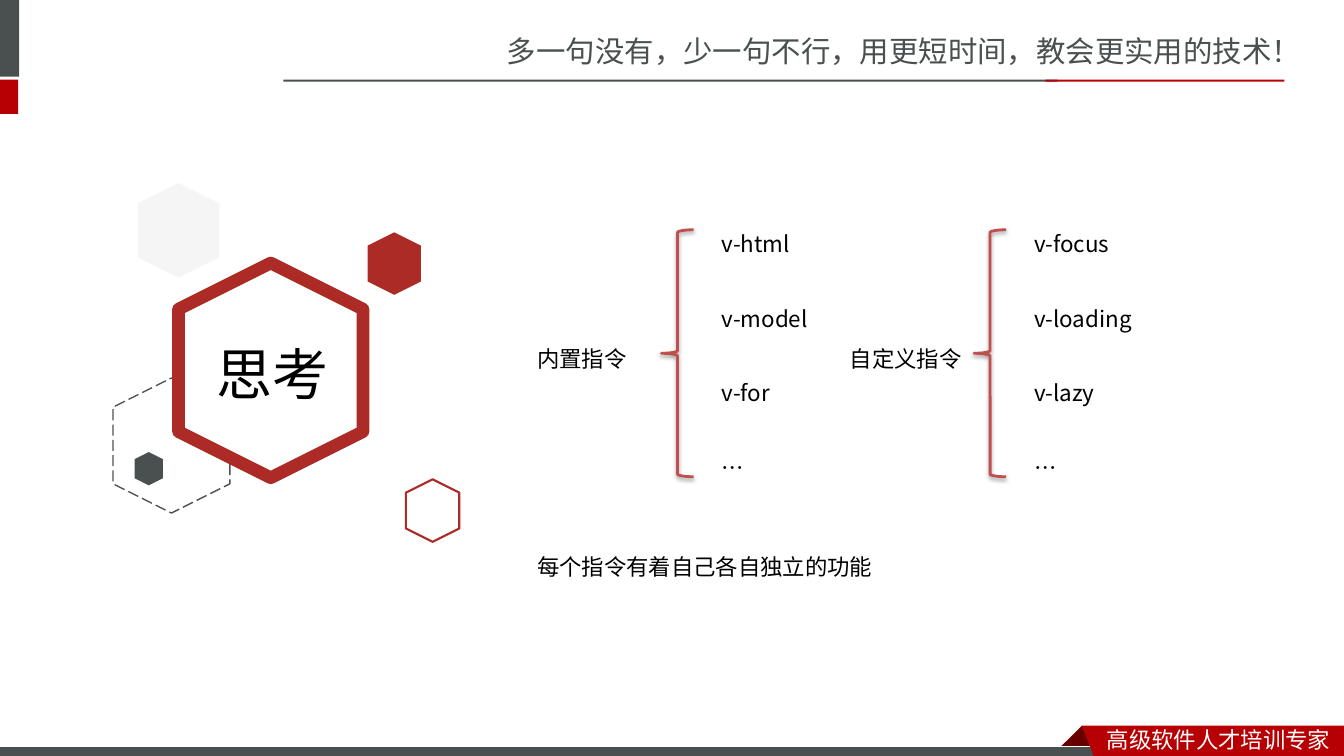
from lxml import etree
from pptx import Presentation
from pptx.dml.color import RGBColor
from pptx.enum.dml import MSO_LINE
from pptx.enum.shapes import MSO_SHAPE
from pptx.enum.text import MSO_ANCHOR, MSO_AUTO_SIZE, PP_ALIGN
from pptx.oxml import parse_xml
from pptx.oxml.ns import nsdecls, qn
from pptx.util import Inches, Pt

RECT, HEXAGON, BRACE = MSO_SHAPE.RECTANGLE, MSO_SHAPE.HEXAGON, MSO_SHAPE.LEFT_BRACE
DASH = MSO_LINE.LONG_DASH
CENTER, LEFT = PP_ALIGN.CENTER, PP_ALIGN.LEFT
TOP, MIDDLE = MSO_ANCHOR.TOP, MSO_ANCHOR.MIDDLE
NO_FIT, GROW = MSO_AUTO_SIZE.NONE, MSO_AUTO_SIZE.SHAPE_TO_FIT_TEXT
SC, JP = "Noto Sans CJK SC", "Noto Sans CJK JP"
GRAY, RED, BRICK, WHITE, BLACK = "49504F", "B60004", "AD2B26", "FFFFFF", "000000"


def rgb(value):
    """Return the colour for a hex string."""
    return RGBColor.from_string(value)


def paint(sp, fill=None, line=None, width=1):
    """Set the fill and outline of a shape and remove its shadow."""
    sp.shadow.inherit = False
    if fill:
        sp.fill.solid()
        sp.fill.fore_color.rgb = rgb(fill)
    else:
        sp.fill.background()
    if line:
        sp.line.color.rgb = rgb(line)
        sp.line.width = Pt(width)
    else:
        sp.line.fill.background()
    return sp


def add_preset(s, kind, box, **style):
    """Add a painted preset shape in the given box."""
    sp = s.shapes.add_shape(kind, *map(Inches, box))
    return paint(sp, **style)


def add_polygon(s, points, fill):
    """Add a filled closed outline through the given points."""
    corners = [(Inches(x), Inches(y)) for x, y in points]
    builder = s.shapes.build_freeform(*corners[0], scale=1.0)
    builder.add_line_segments(corners[1:], close=True)
    return paint(builder.convert_to_shape(), fill)


def write(sp, text, size, font, color, spacing=1.0, align=LEFT, anchor=TOP, fit=GROW):
    """Write one formatted run into a shape."""
    tf = sp.text_frame
    tf.word_wrap = True
    tf.auto_size = fit
    tf.vertical_anchor = anchor
    p = tf.paragraphs[0]
    p.alignment = align
    p.line_spacing = spacing
    r = p.add_run()
    r.text = text
    r.font.size = Pt(size)
    r.font.name = font
    r.font.color.rgb = rgb(color)
    ea = etree.SubElement(r.font._element, qn("a:ea"))
    ea.set("typeface", font)


def add_text(s, box, *args, **style):
    """Add a text box with one run."""
    write(s.shapes.add_textbox(*map(Inches, box)), *args, **style)


def add_label(s, x, y, w, text):
    """Add a line of body text."""
    add_text(s, (x, y, w, 0.51), text, 16, JP, BLACK, spacing=1.7)


def add_header(s):
    """Add the slogan, its rule and the corner blocks."""
    add_text(s, (4.93, 0.28, 8.41, 0.47),
             "多一句没有，少一句不行，用更短时间，教会更实用的技术！", 21, SC, GRAY)
    add_preset(s, RECT, (-0.06, 0, 0.25, 0.76), fill=GRAY)
    add_preset(s, RECT, (-0.06, 0.79, 0.24, 0.34), fill=RED)
    add_preset(s, RECT, (2.81, 0.79, 7.68, 0.02), fill=GRAY)
    add_preset(s, RECT, (10.37, 0.79, 2.37, 0.02), fill=RED)


def add_footer(s):
    """Add the bottom bar and the folded ribbon."""
    add_polygon(s, [(10.73, 7.2), (10.95, 7.42), (10.94, 7.43),
                    (10.52, 7.43), (10.51, 7.42)], "680000")
    add_preset(s, RECT, (-0.01, 7.41, 11, 0.12), fill=GRAY, line=WHITE, width=0.75)
    add_polygon(s, [(10.73, 7.2), (13.33, 7.2), (13.33, 7.54), (10.86, 7.53)], RED)
    add_text(s, (10.88, 7.15, 2.45, 0.37), "高级软件人才培训专家", 16, SC, WHITE)


def add_hexagon(s, box, **style):
    """Add a hexagon standing on its point."""
    sp = add_preset(s, HEXAGON, box, **style)
    sp.rotation = 90
    return sp


def add_title_cluster(s):
    """Add the hexagons with the title in the largest one."""
    dashed = add_hexagon(s, (1.03, 3.84, 1.34, 1.16), line="515151")
    dashed.line.dash_style = DASH
    add_hexagon(s, (1.62, 2.76, 2.13, 1.83), fill=WHITE, line=BRICK, width=9)
    title = s.shapes.title
    title.left, title.top, title.width, title.height = map(Inches, (1.85, 3.15, 1.71, 1.18))
    write(title, "思考", 40, JP, BLACK, spacing=0.9, align=CENTER, anchor=MIDDLE, fit=NO_FIT)
    s.shapes._spTree.append(title._element)
    add_hexagon(s, (3.6, 2.35, 0.62, 0.53), fill=BRICK)
    add_hexagon(s, (1.31, 4.51, 0.33, 0.28), fill=GRAY)
    add_hexagon(s, (3.98, 4.8, 0.62, 0.53), line=BRICK, width=1.5)
    pale = add_hexagon(s, (1.3, 1.88, 0.94, 0.81), fill="F2F2F2")
    color = pale._element.spPr.find(qn("a:solidFill"))[0]
    etree.SubElement(color, qn("a:alpha")).set("val", "70000")


def add_directive_group(s, x, y, name, items):
    """Add a group name, a brace and its evenly spaced items."""
    add_label(s, x, y + 1.14, 1.87, name)
    brace = add_preset(s, BRACE, (x + 1.33, y + 0.23, 0.32, 2.45), line="C0504D", width=2)
    brace._element.spPr.find(qn("a:effectLst")).append(parse_xml(
        f'<a:outerShdw {nsdecls("a")} blurRad="39370" dist="20320" dir="5400000" '
        'rotWithShape="0"><a:srgbClr val="000000"><a:alpha val="38000"/>'
        '</a:srgbClr></a:outerShdw>'))
    for i, item in enumerate(items):
        add_label(s, x + 1.83, y + 0.74 * i, 1.87, item)


def main():
    """Build and save the slide."""
    prs = Presentation()
    prs.slide_width, prs.slide_height = Inches(13.33), Inches(7.5)
    s = prs.slides.add_slide(prs.slide_layouts[5])
    add_header(s)
    add_footer(s)
    add_title_cluster(s)
    add_directive_group(s, 5.23, 2.05, "内置指令", ["v-html", "v-model", "v-for", "…"])
    add_directive_group(s, 8.33, 2.05, "自定义指令", ["v-focus", "v-loading", "v-lazy", "…"])
    add_label(s, 5.23, 5.25, 4.06, "每个指令有着自己各自独立的功能")
    prs.save("out.pptx")


if __name__ == "__main__":
    main()
